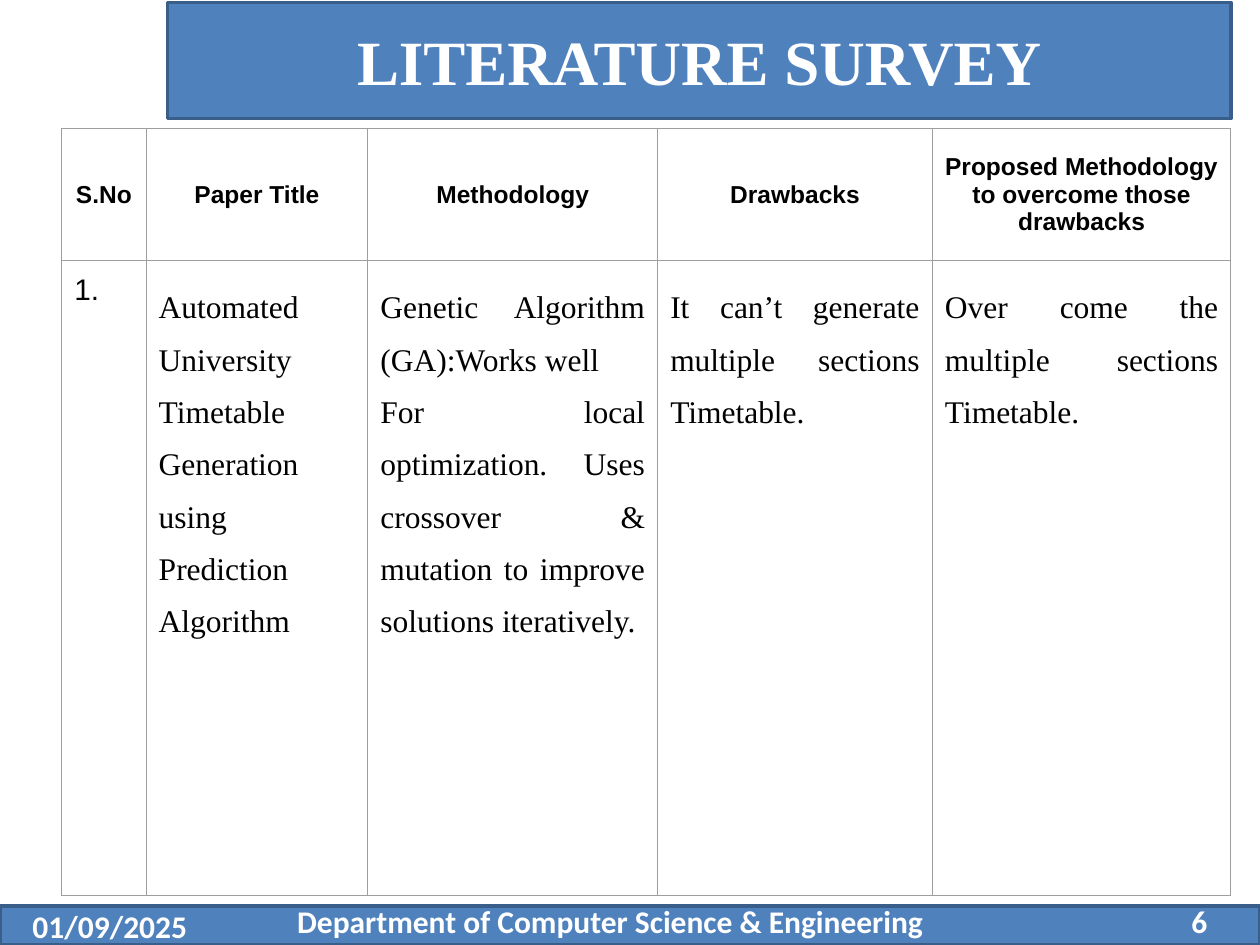
import pptx
import pptx.util
import pptx.dml.color
import pptx.enum.shapes
import pptx.enum.text
import pptx.oxml
import pptx.oxml.ns

Inches = pptx.util.Inches
Pt = pptx.util.Pt
RGBColor = pptx.dml.color.RGBColor
Align = pptx.enum.text.PP_ALIGN
Anchor = pptx.enum.text.MSO_ANCHOR

BLUE = RGBColor(0x4F, 0x81, 0xBD)
DARK_BLUE = RGBColor(0x39, 0x5E, 0x89)
GREY = RGBColor(0x9E, 0x9E, 0x9E)
WHITE = RGBColor(0xFF, 0xFF, 0xFF)
BLACK = RGBColor(0, 0, 0)

COLUMN_WIDTHS = [0.67, 1.76, 2.3, 2.18, 2.37]
ROW_HEIGHTS = [1.05, 5.04]
HEADINGS = ["S.No", "Paper Title", "Methodology", "Drawbacks",
            "Proposed Methodology to overcome those drawbacks"]
SURVEY = [
    ["1."],
    ["Automated University Timetable Generation using Prediction Algorithm"],
    ["Genetic Algorithm (GA):Works well",
     "For local optimization. Uses crossover & mutation to improve solutions iteratively."],
    ["It can’t generate multiple sections Timetable. "],
    ["Over come the multiple sections Timetable."],
]


def write(frame, lines, font, size, color, bold, align, spacing=None):
    """Write each line as a paragraph with one styled run."""
    frame.word_wrap = True
    for index, line in enumerate(lines):
        paragraph = frame.add_paragraph() if index else frame.paragraphs[0]
        paragraph.alignment = align
        if spacing:
            paragraph.line_spacing = spacing
        run = paragraph.add_run()
        run.text = line
        run.font.name = font
        run.font.size = Pt(size)
        run.font.bold = bold
        run.font.color.rgb = color


def add_bar(slide, left, top, width, height):
    """Add a blue outlined bar."""
    bar = slide.shapes.add_shape(
        pptx.enum.shapes.MSO_SHAPE.RECTANGLE,
        Inches(left), Inches(top), Inches(width), Inches(height))
    bar.shadow.inherit = False
    bar.fill.solid()
    bar.fill.fore_color.rgb = BLUE
    bar.line.color.rgb = DARK_BLUE
    bar.line.width = Pt(2)
    return bar


def add_title(slide, left, top, width, height):
    """Add the title bar."""
    frame = add_bar(slide, left, top, width, height).text_frame
    frame.vertical_anchor = Anchor.MIDDLE
    write(frame, ["LITERATURE SURVEY"], "Times New Roman", 36, WHITE, True, Align.CENTER)


def add_footer(slide, left, top, width, height):
    """Add the footer bar with date, page number and department."""
    add_bar(slide, left, top, width, height)
    labels = [
        ("01/09/2025", 0.16, 0, 2.33, 0.32, Align.LEFT),
        ("6", 7.35, -0.08, 2.33, 0.4, Align.RIGHT),
        ("Department of Computer Science & Engineering", 2.11, -0.08, 5.47, 0.4, Align.CENTER),
    ]
    for text, dx, dy, label_width, label_height, align in labels:
        label = slide.shapes.add_textbox(
            Inches(left + dx), Inches(top + dy), Inches(label_width), Inches(label_height))
        label.text_frame.vertical_anchor = Anchor.MIDDLE
        write(label.text_frame, [text], "Calibri", 18, WHITE, True, align)


def style_cell(cell):
    """Clear the cell fill, set its margins and draw its borders."""
    cell.fill.background()
    cell.margin_left = cell.margin_right = Inches(0.1)
    cell.margin_top = cell.margin_bottom = Inches(0.1)
    properties = cell._tc.get_or_add_tcPr()
    for index, side in enumerate(["lnL", "lnR", "lnT", "lnB"]):
        properties.insert(index, pptx.oxml.parse_xml(
            f'<a:{side} {pptx.oxml.ns.nsdecls("a")} w="{Pt(0.75)}"><a:solidFill>'
            f'<a:srgbClr val="{GREY}"/></a:solidFill></a:{side}>'))


def add_survey_table(slide, left, top, width, height):
    """Add the survey table with its heading row and entries."""
    table = slide.shapes.add_table(
        len(ROW_HEIGHTS), len(COLUMN_WIDTHS),
        Inches(left), Inches(top), Inches(width), Inches(height)).table
    table.first_row = table.horz_banding = False
    for row, row_height in zip(table.rows, ROW_HEIGHTS):
        row.height = Inches(row_height)
    for index, column_width in enumerate(COLUMN_WIDTHS):
        table.columns[index].width = Inches(column_width)
        heading, entry = table.cell(0, index), table.cell(1, index)
        style_cell(heading)
        style_cell(entry)
        heading.vertical_anchor = Anchor.MIDDLE
        write(heading.text_frame, [HEADINGS[index]], "Arial", 14, BLACK, True, Align.CENTER)
        font, size, spacing = ("Times New Roman", 18, 1.5) if index else ("Arial", 17, None)
        write(entry.text_frame, SURVEY[index], font, size, BLACK, False, Align.JUSTIFY, spacing)


def main():
    """Build and save the slide."""
    presentation = pptx.Presentation()
    presentation.slide_width = Inches(10)
    presentation.slide_height = Inches(7.5)
    slide = presentation.slides.add_slide(presentation.slide_layouts[6])
    add_title(slide, 1.33, 0.02, 8.44, 0.92)
    add_footer(slide, 0, 7.19, 10, 0.31)
    add_survey_table(slide, 0.49, 1.02, sum(COLUMN_WIDTHS), sum(ROW_HEIGHTS))
    presentation.save("out.pptx")


if __name__ == "__main__":
    main()
